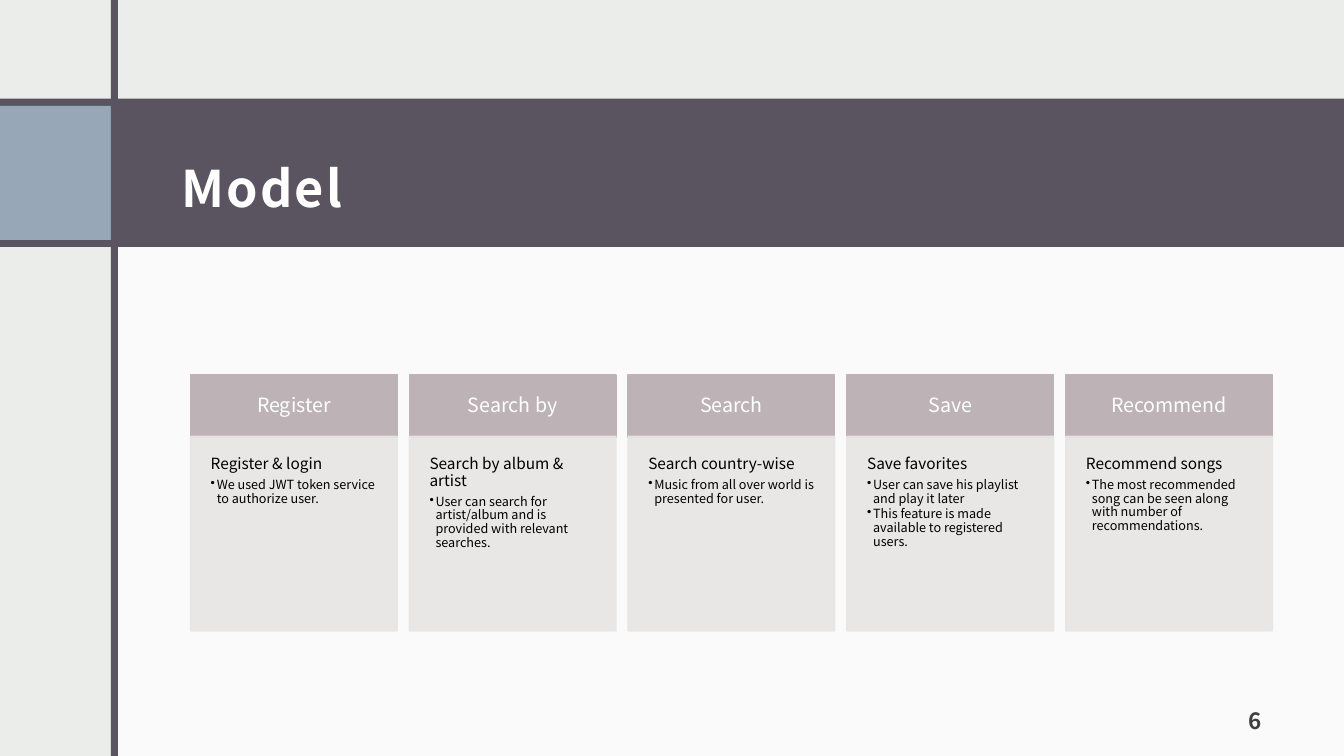
from lxml import etree
from pptx import Presentation, util as u
from pptx.dml.color import RGBColor
from pptx.enum import shapes, text
from pptx.oxml.ns import qn

FONT = "Noto Sans CJK JP"
HUES = {"back": "EBEDEB", "dark": "595460", "blue": "97A7B8", "head": "BDB3B6",
        "body": "E8E5E5", "white": "FFFFFF", "black": "000000", "grey": "404040"}
CARDS = [
    ("Register", "Register & login", ["We used JWT token service to authorize user."]),
    ("Search by", "Search by album & artist",
     ["User can search for artist/album and is provided with relevant searches."]),
    ("Search", "Search country-wise", ["Music from all over world is presented for user."]),
    ("Save", "Save favorites",
     ["User can save his playlist and play it later",
      "This feature is made available to registered users."]),
    ("Recommend", "Recommend songs",
     ["The most recommended song can be seen along with number of recommendations."]),
]

deck = Presentation()
deck.slide_width, deck.slide_height = u.Inches(13.33), u.Inches(7.5)
slide = deck.slides.add_slide(deck.slide_layouts[5])
slide.background.fill.solid()
slide.background.fill.fore_color.rgb = RGBColor.from_string(HUES["back"])


def block(left, top, width, height, hue, alpha=100, edge=False):
    """Add a flat rectangle, with an outline of its own colour if asked."""
    box = slide.shapes.add_shape(shapes.MSO_SHAPE.RECTANGLE,
                                 *map(u.Inches, (left, top, width, height)))
    box.shadow.inherit = False
    fills = [box.fill]
    if edge:
        box.line.width = u.Pt(1)
        fills.append(box.line.fill)
    else:
        box.line.fill.background()
    for fill in fills:
        fill.solid()
        fill.fore_color.rgb = RGBColor.from_string(HUES[hue])
    if alpha < 100:
        for tint in box._element.spPr.iter(qn("a:srgbClr")):
            etree.SubElement(tint, qn("a:alpha")).set("val", str(alpha * 1000))
    return box


def write(frame, lines, inset, anchor, align, lead=None, track=0):
    """Fill a text frame with (words, size, hue, bold, space after) lines."""
    frame.word_wrap = True
    frame.auto_size = text.MSO_AUTO_SIZE.NONE
    frame.vertical_anchor = anchor
    frame.margin_left = frame.margin_right = u.Inches(inset)
    frame.margin_top = frame.margin_bottom = u.Inches(inset)
    for i, (words, size, hue, bold, after) in enumerate(lines):
        para = frame.add_paragraph() if i else frame.paragraphs[0]
        para.text = words
        para.alignment, para.line_spacing = align, lead
        para.space_after = u.Pt(after)
        para.font.name, para.font.size, para.font.bold = FONT, u.Pt(size), bold
        para.font.color.rgb = RGBColor.from_string(HUES[hue])
        if track:
            para.runs[0].font._element.set("spc", str(int(track * 100)))


LEFT, MID = text.PP_ALIGN.LEFT, text.MSO_ANCHOR.MIDDLE

# Backdrop: pale panel, title band, blue square and upright bar
block(1.14, 2.33, 12.19, 5.17, "white", alpha=75)
block(0, 0.98, 13.33, 1.47, "dark")
block(0, 1.05, 1.1, 1.33, "blue")
block(1.1, 0, 0.07, 7.5, "dark")

title = slide.shapes.title
title.left, title.top = u.Inches(1.68), u.Inches(1.14)
title.width, title.height = u.Inches(10.95), u.Inches(1.13)
write(title.text_frame, [("Model", 36, "white", True, 0)], 0.12, MID, LEFT, 1.5, 1.5)
tree = slide.shapes._spTree
tree.remove(title._element)
tree.append(title._element)

# Five cards at an equal pitch
for i, (name, lead, notes) in enumerate(CARDS):
    left = 1.89 + 2.17 * i
    head = block(left, 3.72, 2.05, 0.62, "head", edge=True)
    write(head.text_frame, [(name, 14, "white", False, 4.9)], 0.16, MID,
          text.PP_ALIGN.CENTER, 0.9)
    body = block(left, 4.33, 2.05, 1.93, "body", alpha=90, edge=True)
    lines = [(lead, 11, "black", False, 3.85)]
    lines += [(note, 9, "black", False, 1.35) for note in notes]
    write(body.text_frame, lines, 0.2, text.MSO_ANCHOR.TOP, LEFT, 0.9)
    for para in body.text_frame.paragraphs[1:]:
        para.level = 1
        props = para._p.get_or_add_pPr()
        props.set("marL", str(u.Inches(0.06)))
        props.set("indent", str(-u.Inches(0.06)))
        mark = etree.Element(qn("a:buChar"), char="•")
        props.find(qn("a:defRPr")).addprevious(mark)

page = slide.shapes.add_textbox(*map(u.Inches, (11.56, 6.9, 1.07, 0.5)))
write(page.text_frame, [("6", 16, "grey", True, 6)], 0.12, text.MSO_ANCHOR.BOTTOM,
      text.PP_ALIGN.RIGHT, track=1.5)

deck.save("out.pptx")
